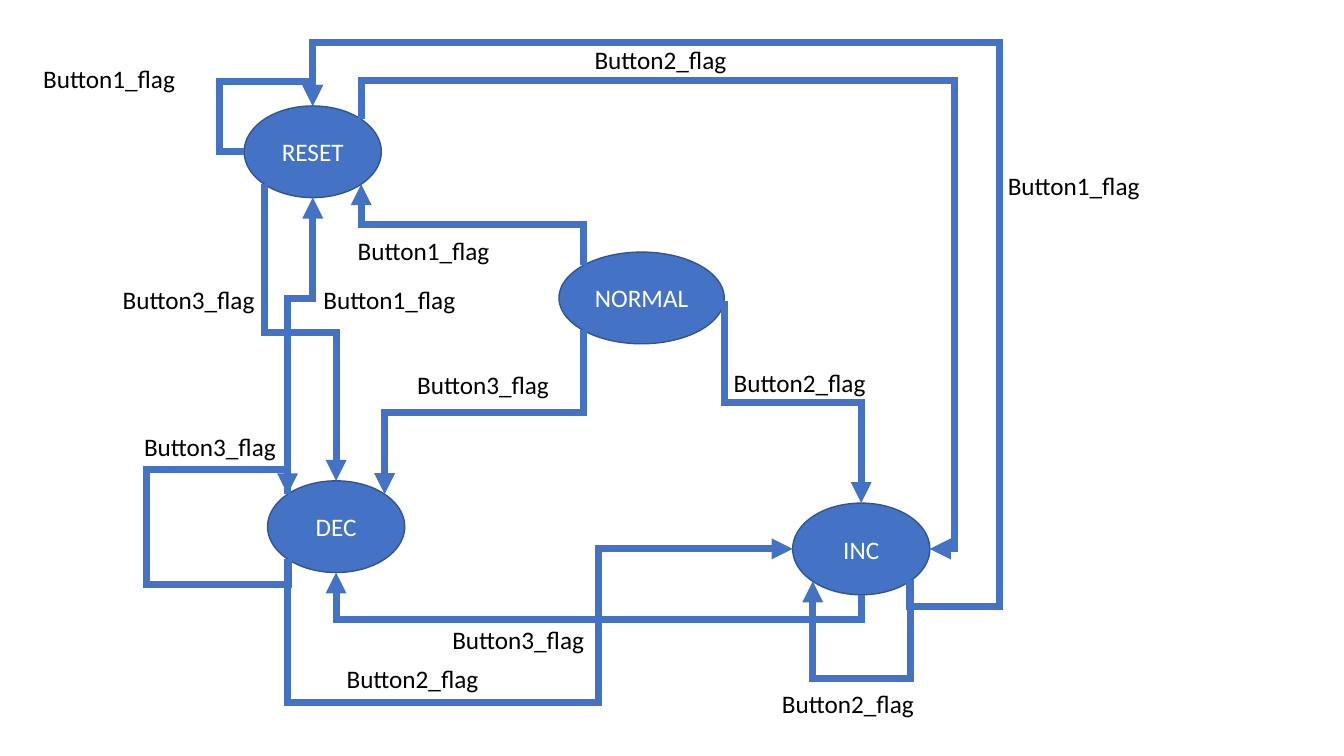
from dataclasses import dataclass
from math import cos, radians, sin

from pptx import Presentation
from pptx.dml.color import RGBColor as Rgb
from pptx.enum.shapes import MSO_CONNECTOR as Link, MSO_SHAPE as Kind
from pptx.enum.text import MSO_ANCHOR as Anchor, MSO_AUTO_SIZE as Fit, PP_ALIGN as Align
from pptx.oxml.ns import qn
from pptx.util import Pt
from lxml.etree import SubElement as sub


@dataclass(frozen=True)
class Theme:
    font: str = "Calibri"
    size: float = 18
    blue: Rgb = Rgb(0x44, 0x72, 0xC4)
    edge: Rgb = Rgb(0x32, 0x54, 0x91)
    white: Rgb = Rgb(255, 255, 255)
    black: Rgb = Rgb(0, 0, 0)
    thick: float = 5
    thin: float = 1


THEME = Theme()
HIGH = 65.5
BOX = (127.4, 29)

# States: centre x, centre y, width
STATES = {
    "NORMAL": (458.3, 212.8, 118),
    "RESET": (223.4, 108.4, 98),
    "DEC": (240.1, 376.2, 98),
    "INC": (615.2, 392.1, 98),
}

# Ports on a state's rim, as clockwise angles from the right
PORTS = {"R": 0, "BR": 45, "B": 90, "BL": 135, "L": 180, "TL": 225, "T": 270, "TR": 315}

# Routes: from, to, first axis (0 across, 1 down), bends on alternating axes,
# shift of the start, shift of the end
ROUTES = [
    ("NORMAL TL", "RESET BR", 1, [160.6]),
    ("NORMAL R", "INC T", 1, [287.3], (0, 2.5)),
    ("NORMAL BL", "DEC TR", 1, [294.5]),
    ("RESET L", "RESET T", 0, [156.6, 58.3]),
    ("INC BR", "INC BL", 1, [485.3], (0.7, -1)),
    ("DEC BL", "DEC TL", 1, [417.6, 106, 335.5], (0.7, 0)),
    ("RESET TR", "INC R", 1, [57.6, 681.8]),
    ("RESET BL", "DEC T", 1, [237.6]),
    ("INC B", "DEC B", 1, [442.8]),
    ("INC BR", "RESET T", 1, [433.4, 714.2, 30.2]),
    ("DEC TL", "RESET B", 1, [213.1]),
    ("DEC BL", "INC L", 1, [501.8, 427.7]),
]

# Labels: button number, left, top; each stands clear of the routes
LABELS = [
    (1, 248.4, 164.2), (2, 551.5, 488), (3, 290.9, 260.6), (2, 417.6, 28.1),
    (3, 316, 442.1), (3, 80.6, 199.4), (2, 517, 258.5), (3, 95.8, 304.6),
    (2, 240.5, 470.2), (1, 712.8, 118.1), (1, 23.8, 41.8), (1, 224, 199.4),
]


def write(frame, text, color):
    run = frame.paragraphs[0].add_run()
    run.text = text
    run.font.name = THEME.font
    run.font.size = Pt(THEME.size)
    run.font.color.rgb = color


def add_state(slide, name):
    x, y, wide = STATES[name]
    oval = slide.shapes.add_shape(
        Kind.FLOWCHART_CONNECTOR, Pt(x - wide / 2), Pt(y - HIGH / 2), Pt(wide), Pt(HIGH))
    oval.shadow.inherit = False
    oval.fill.solid()
    oval.fill.fore_color.rgb = THEME.blue
    oval.line.color.rgb = THEME.edge
    oval.line.width = Pt(THEME.thin)
    frame = oval.text_frame
    frame.word_wrap = True
    frame.vertical_anchor = Anchor.MIDDLE
    frame.paragraphs[0].alignment = Align.CENTER
    write(frame, name, THEME.white)


def add_label(slide, num, left, top):
    frame = slide.shapes.add_textbox(Pt(left), Pt(top), *map(Pt, BOX)).text_frame
    frame.word_wrap = True
    frame.auto_size = Fit.SHAPE_TO_FIT_TEXT
    write(frame, f"Button{num}_flag", THEME.black)


def find_port(place, shift):
    name, port = place.split()
    x, y, wide = STATES[name]
    turn = radians(PORTS[port])
    return x + wide / 2 * cos(turn) + shift[0], y + HIGH / 2 * sin(turn) + shift[1]


def add_route(slide, start, end, axis, bends, push=(0, 0), pull=(0, 0)):
    head, tail = find_port(start, push), find_port(end, pull)
    gap = [b - a for a, b in zip(head, tail)]
    # A route that starts downward is an across route turned by 90 degrees
    run, rise = (gap[1], -gap[0]) if axis else gap
    wide, high = abs(run), abs(rise)
    left = (head[0] + tail[0] - wide) / 2
    top = (head[1] + tail[1] - high) / 2
    line = slide.shapes.add_connector(
        Link.ELBOW, Pt(left), Pt(top), Pt(left + wide), Pt(top + high))
    line.line.color.rgb = THEME.blue
    line.line.width = Pt(THEME.thick)

    # Turn and flips
    props = line._element.spPr
    frame = props.find(qn("a:xfrm"))
    for key, value in (("rot", 5400000 * axis), ("flipH", run < 0), ("flipV", rise < 0)):
        frame.set(key, str(int(value)))

    # Bends, as shares of the way from start to end
    form = props.find(qn("a:prstGeom"))
    form.set("prst", f"bentConnector{len(bends) + 2}")
    guides = form.find(qn("a:avLst"))
    for i, bend in enumerate(bends):
        way = (axis + i) % 2
        share = round((bend - head[way]) / gap[way] * 100000)
        sub(guides, qn("a:gd"), name=f"adj{i + 1}", fmla=f"val {share}")

    # Square corners, arrowhead, no shadow
    stroke = props.find(qn("a:ln"))
    sub(stroke, qn("a:miter"), lim="800000")
    sub(stroke, qn("a:tailEnd"), type="triangle")
    sub(props, qn("a:effectLst"))


def main():
    deck = Presentation()
    deck.slide_width, deck.slide_height = Pt(960), Pt(540)
    slide = deck.slides.add_slide(deck.slide_layouts[6])
    for name in STATES:
        add_state(slide, name)
    for route in ROUTES:
        add_route(slide, *route)
    for label in LABELS:
        add_label(slide, *label)
    deck.save("out.pptx")


if __name__ == "__main__":
    main()
